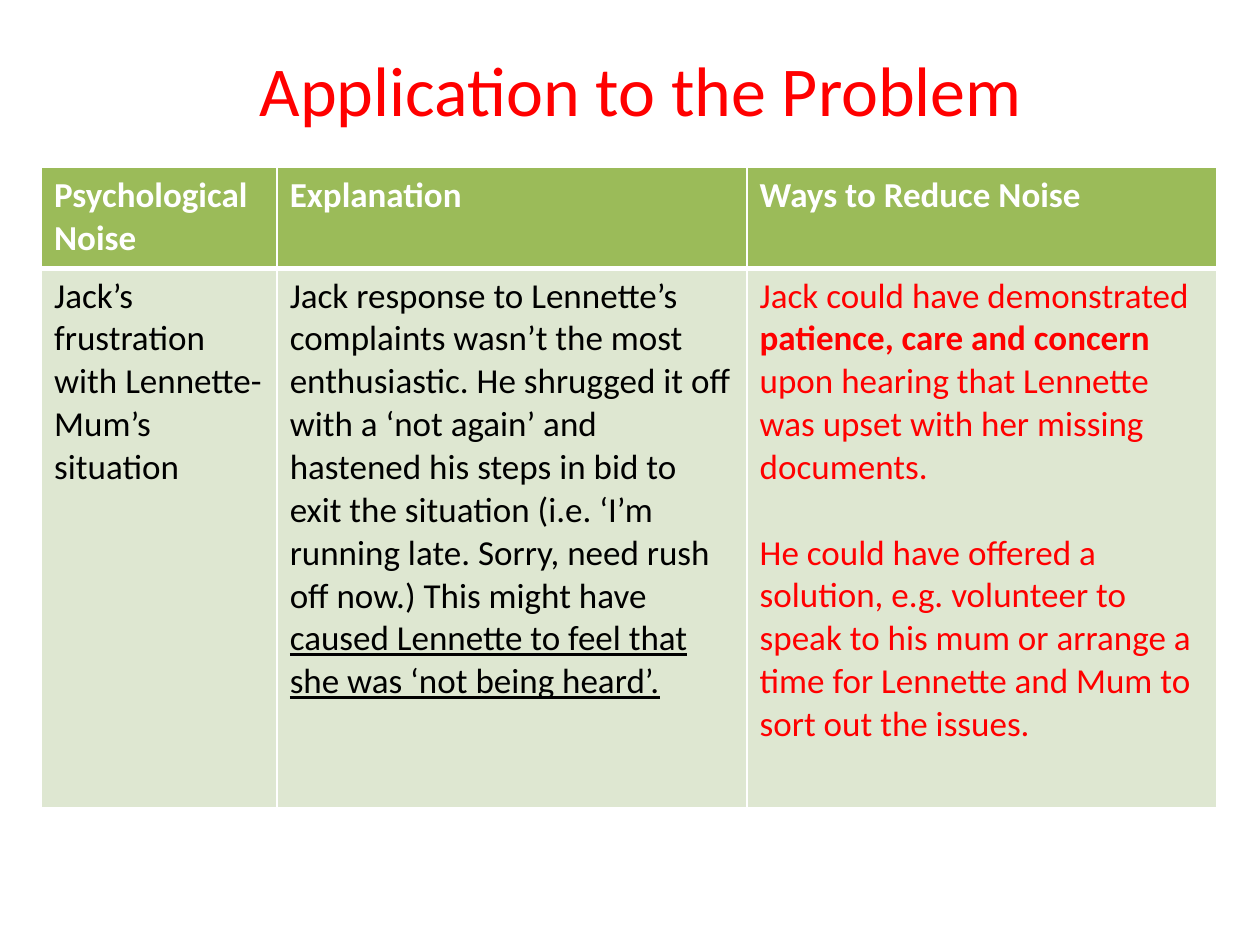
from lxml.etree import SubElement
from pptx import Presentation
from pptx.dml.color import RGBColor
from pptx.enum.text import MSO_ANCHOR, PP_ALIGN
from pptx.oxml.ns import qn
from pptx.util import Inches, Pt

RED = RGBColor(0xFF, 0x00, 0x00)
WHITE = RGBColor(0xFF, 0xFF, 0xFF)
BLACK = RGBColor(0x00, 0x00, 0x00)
GREEN = RGBColor(0x9B, 0xBB, 0x59)
PALE_GREEN = RGBColor(0xDE, 0xE7, 0xD1)
FONT = "Calibri"

TITLE = "Application to the Problem"
HEADINGS = ["Psychological Noise", "Explanation", "Ways to Reduce Noise"]
SITUATION = [[("Jack’s frustration with Lennette-Mum’s situation", "")]]
EXPLANATION = [[
    ("Jack response to Lennette’s complaints wasn’t the most enthusiastic. "
     "He shrugged it off with a ‘not again’ and hastened his steps in bid to exit "
     "the situation (i.e. ‘I’m running late. Sorry, need rush off now.) "
     "This might have ", ""),
    ("caused Lennette to feel that she was ‘not being heard’.", "underline"),
]]
REMEDIES = [
    [("Jack could have demonstrated ", ""),
     ("patience, care and concern ", "bold"),
     ("upon hearing that Lennette was upset with her missing documents.", "")],
    [("He could have offered a solution, e.g. volunteer to speak to his mum "
      "or arrange a time for Lennette and Mum to sort out the issues.", "")],
]
ROWS = [
    [([[(heading, "bold")]], WHITE) for heading in HEADINGS],
    [(SITUATION, BLACK), (EXPLANATION, BLACK), (REMEDIES, RED)],
]
ROW_FILLS = [GREEN, PALE_GREEN]
ROW_HEIGHTS = [0.8, 4.28]
COLUMN_WIDTHS = [1.87, 3.73, 3.73]
THIN, THICK = 1, 3
PARAGRAPH_GAP = 24.4


def add_run(paragraph, text, size, color, style=""):
    run = paragraph.add_run()
    run.text = text
    run.font.name = FONT
    run.font.size = Pt(size)
    run.font.color.rgb = color
    run.font.bold = style == "bold"
    run.font.underline = style == "underline"


def add_borders(cell, top, bottom):
    properties = cell._tc.get_or_add_tcPr()
    for side, width in (("L", THIN), ("R", THIN), ("T", top), ("B", bottom)):
        line = SubElement(properties, qn(f"a:ln{side}"), w=str(Pt(width)))
        fill = SubElement(line, qn("a:solidFill"))
        SubElement(fill, qn("a:srgbClr"), val=str(WHITE))


def fill_cell(cell, paragraphs, color):
    frame = cell.text_frame
    for index, runs in enumerate(paragraphs):
        paragraph = frame.add_paragraph() if index else frame.paragraphs[0]
        if index:
            paragraph.space_before = Pt(PARAGRAPH_GAP)
        for text, style in runs:
            add_run(paragraph, text, 20, color, style)


def add_title(slide):
    box = slide.shapes.add_textbox(Inches(0.92), Inches(0.08), Inches(8.33), Inches(1.25))
    frame = box.text_frame
    frame.word_wrap = True
    frame.vertical_anchor = MSO_ANCHOR.MIDDLE
    paragraph = frame.paragraphs[0]
    paragraph.alignment = PP_ALIGN.CENTER
    add_run(paragraph, TITLE, 40, RED)


def add_noise_table(slide):
    table = slide.shapes.add_table(
        len(ROWS), len(COLUMN_WIDTHS), Inches(0.33), Inches(1.33),
        Inches(sum(COLUMN_WIDTHS)), Inches(sum(ROW_HEIGHTS))).table
    for column, width in zip(table.columns, COLUMN_WIDTHS):
        column.width = Inches(width)
    for row_index, (row, height) in enumerate(zip(table.rows, ROW_HEIGHTS)):
        row.height = Inches(height)
        top, bottom = (THICK, THIN) if row_index else (THIN, THICK)
        for cell, (paragraphs, color) in zip(row.cells, ROWS[row_index]):
            add_borders(cell, top, bottom)
            cell.fill.solid()
            cell.fill.fore_color.rgb = ROW_FILLS[row_index]
            fill_cell(cell, paragraphs, color)


def main():
    presentation = Presentation()
    presentation.slide_width = Inches(10)
    presentation.slide_height = Inches(7.5)
    slide = presentation.slides.add_slide(presentation.slide_layouts[6])
    add_title(slide)
    add_noise_table(slide)
    presentation.save("out.pptx")


if __name__ == "__main__":
    main()
